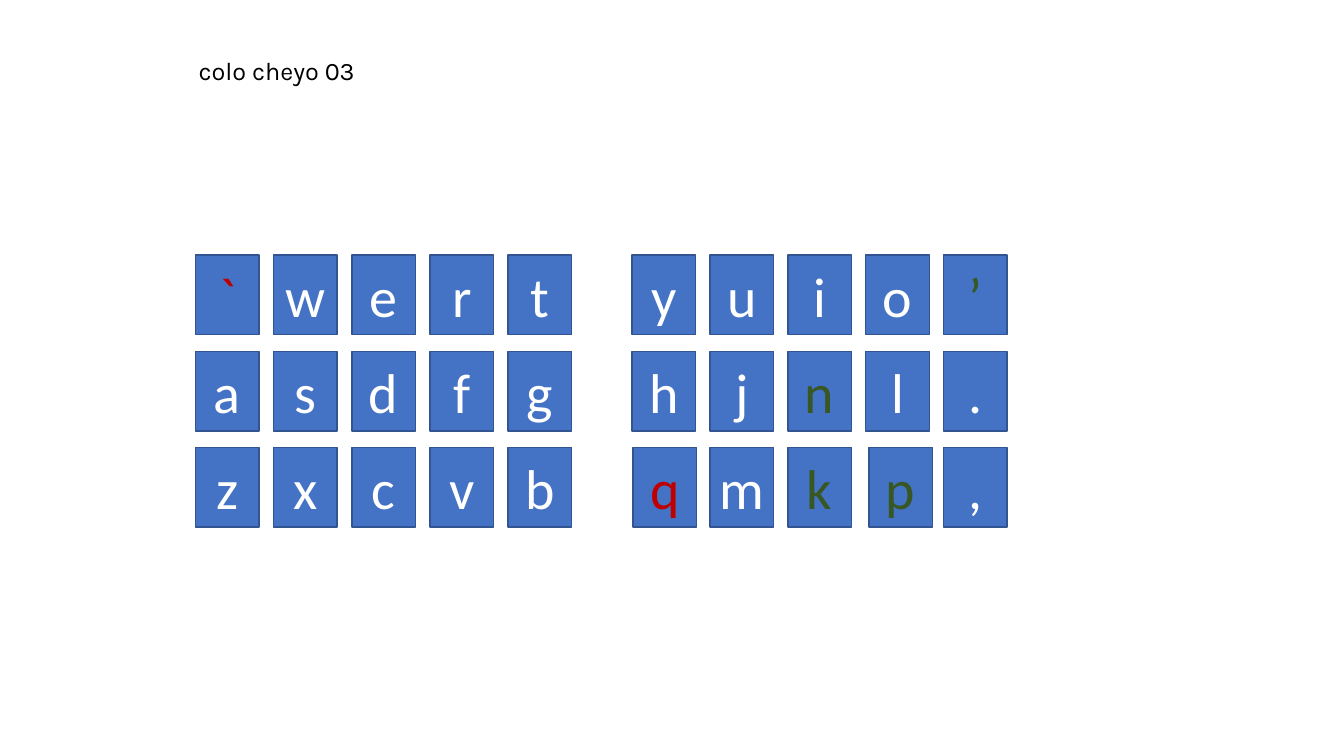
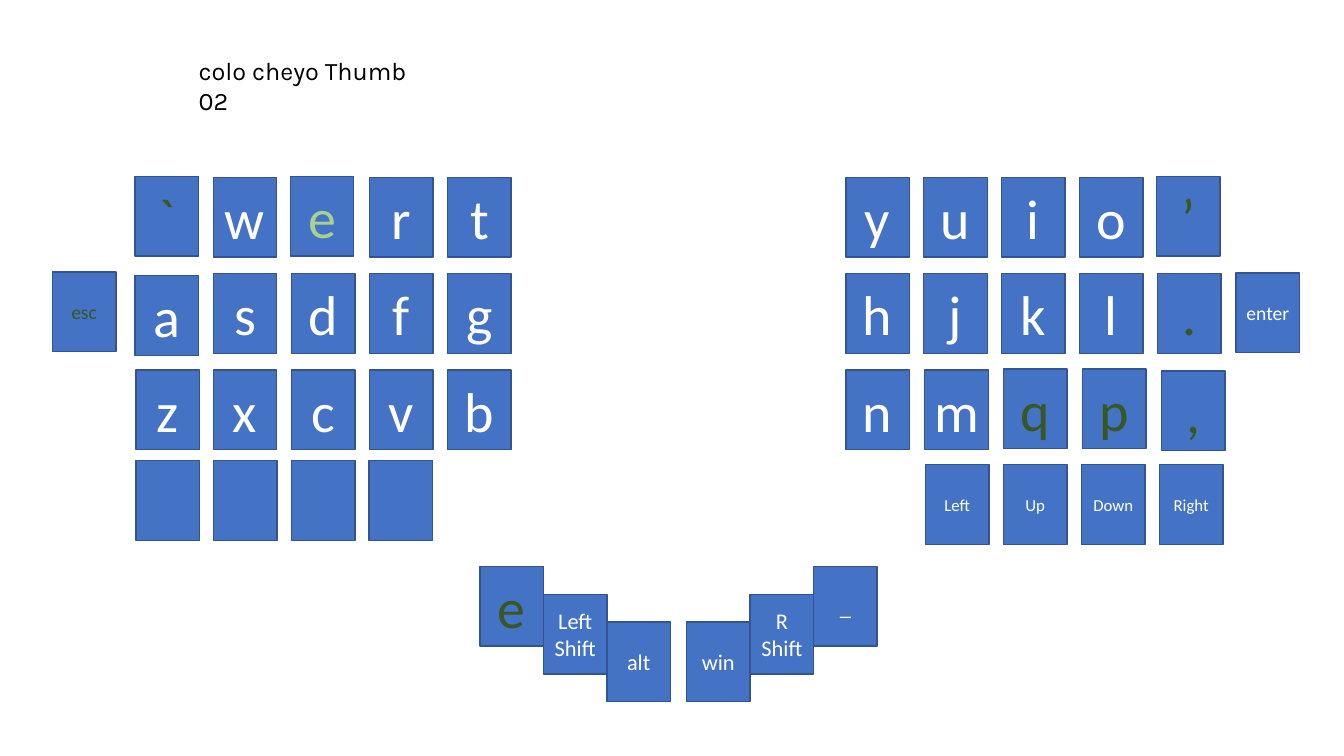
from pptx import Presentation
from pptx.dml.color import RGBColor
from pptx.enum.shapes import MSO_SHAPE as Shape
from pptx.enum.text import MSO_ANCHOR as Anchor, MSO_AUTO_SIZE as AutoSize, PP_ALIGN as Align
from pptx.util import Inches, Pt

COLOURS = {
    "key": "4472C4",
    "edge": "325491",
    "white": "FFFFFF",
    "black": "000000",
    "red": "C00000",
    "green": "385723",
    "light green": "A9D18E",
}
TITLE_FONT, KEY_FONT = "Karla", "Calibri"
KEY_WIDTH, KEY_HEIGHT = 0.63, 0.79
TITLE_ONLY = 5


def colour(name):
    return RGBColor.from_string(COLOURS[name])


def write_text(frame, text, font=KEY_FONT, size=40, text_colour="white",
               align=Align.CENTER, anchor=Anchor.MIDDLE):
    """Fill a text frame, one paragraph per line of text."""
    frame.text = text
    frame.word_wrap = True
    frame.auto_size = AutoSize.NONE
    frame.vertical_anchor = anchor
    for paragraph in frame.paragraphs:
        paragraph.alignment = align
        for run in paragraph.runs:
            run.font.name = font
            run.font.size = Pt(size)
            run.font.color.rgb = colour(text_colour)


def add_titled_slide(presentation, title, height):
    slide = presentation.slides.add_slide(presentation.slide_layouts[TITLE_ONLY])
    shape = slide.shapes.title
    shape.left, shape.top = Inches(1.87), Inches(0.5)
    shape.width, shape.height = Inches(2.45), Inches(height)
    write_text(shape.text_frame, title, font=TITLE_FONT, size=18,
               text_colour="black", align=Align.LEFT, anchor=Anchor.TOP)
    return slide


def add_key(slide, label, left, top, size=40, text_colour="white"):
    shape = slide.shapes.add_shape(Shape.RECTANGLE, Inches(left), Inches(top),
                                   Inches(KEY_WIDTH), Inches(KEY_HEIGHT))
    shape.shadow.inherit = False
    shape.fill.solid()
    shape.fill.fore_color.rgb = colour("key")
    shape.line.color.rgb = colour("edge")
    shape.line.width = Pt(1)
    frame = shape.text_frame
    frame.margin_left = frame.margin_right = 0
    if label:
        write_text(frame, label, size=size, text_colour=text_colour)


def add_key_row(slide, labels, first, last, top, size=40, colours=None, nudges=None):
    """Space keys evenly from first to last; nudges shift single keys by (x, y)."""
    colours, nudges = colours or {}, nudges or {}
    pitch = (last - first) / (len(labels) - 1)
    for column, label in enumerate(labels):
        shift_x, shift_y = nudges.get(label, (0, 0))
        add_key(slide, label, first + column * pitch + shift_x, top + shift_y,
                size, colours.get(label, "white"))


def build_compact_layout(presentation):
    slide = add_titled_slide(presentation, "colo cheyo 03", height=1.01)
    accents = {"`": "red", "q": "red", "’": "green", "n": "green",
               "k": "green", "p": "green"}
    nudges = {"q": (0.01, 0), "p": (0.03, 0)}
    rows = [("`wert", "yuio’"), ("asdfg", "hjnl."), ("zxcvb", "qmkp,")]
    row_pitch = (4.44 - 2.53) / 2
    for row, (left_hand, right_hand) in enumerate(rows):
        top = 2.53 + row * row_pitch
        add_key_row(slide, left_hand, 1.94, 5.04, top, colours=accents)
        add_key_row(slide, right_hand, 6.27, 9.36, top, colours=accents, nudges=nudges)


def build_thumb_layout(presentation):
    slide = add_titled_slide(presentation, "colo cheyo Thumb 02", height=0.7)
    accents = dict.fromkeys("`’.qp,", "green") | {"e": "light green"}
    nudges = {"`": (0, -0.01), "e": (-0.01, -0.01), "’": (-0.01, -0.01),
              "a": (0, 0.02), "z": (0.01, 0), "q": (0, -0.01),
              "p": (0, -0.01), ",": (0, 0.01)}

    # Letter blocks: left keys, right keys, position of the last right key
    rows = [("`wert", "yuio’", 11.48), ("asdfg", "hjkl.", 11.48),
            ("zxcvb", "nmqp,", 11.52)]
    row_pitch = (3.67 - 1.76) / 2
    for row, (left_hand, right_hand, right_end) in enumerate(rows):
        top = 1.76 + row * row_pitch
        add_key_row(slide, left_hand, 1.34, 4.44, top, colours=accents, nudges=nudges)
        add_key_row(slide, right_hand, 8.39, right_end, top, colours=accents, nudges=nudges)

    # Bottom rows and outer keys
    add_key_row(slide, [""] * 4, 1.35, 3.66, 4.57)
    add_key_row(slide, ["Left", "Up", "Down", "Right"], 9.18, 11.5, 4.61, size=12)
    add_key(slide, "esc", 0.52, 2.7, size=14, text_colour="green")
    add_key(slide, "enter", 12.26, 2.71, size=14)

    # Thumb clusters step down towards the middle
    thumb_pairs = [("e", "_"), ("Left\nShift", "R\nShift"), ("alt", "win")]
    for step, (left_thumb, right_thumb) in enumerate(thumb_pairs):
        top = 5.62 + step * 0.55 / 2
        is_letter = left_thumb == "e"
        add_key(slide, left_thumb, 4.76 + step * KEY_WIDTH, top,
                size=40 if is_letter else 16,
                text_colour="green" if is_letter else "white")
        add_key(slide, right_thumb, 8.07 - step * KEY_WIDTH, top, size=16)


def main():
    presentation = Presentation()
    presentation.slide_width = Inches(13.33)
    presentation.slide_height = Inches(7.5)
    build_compact_layout(presentation)
    build_thumb_layout(presentation)
    presentation.save("out.pptx")


if __name__ == "__main__":
    main()
